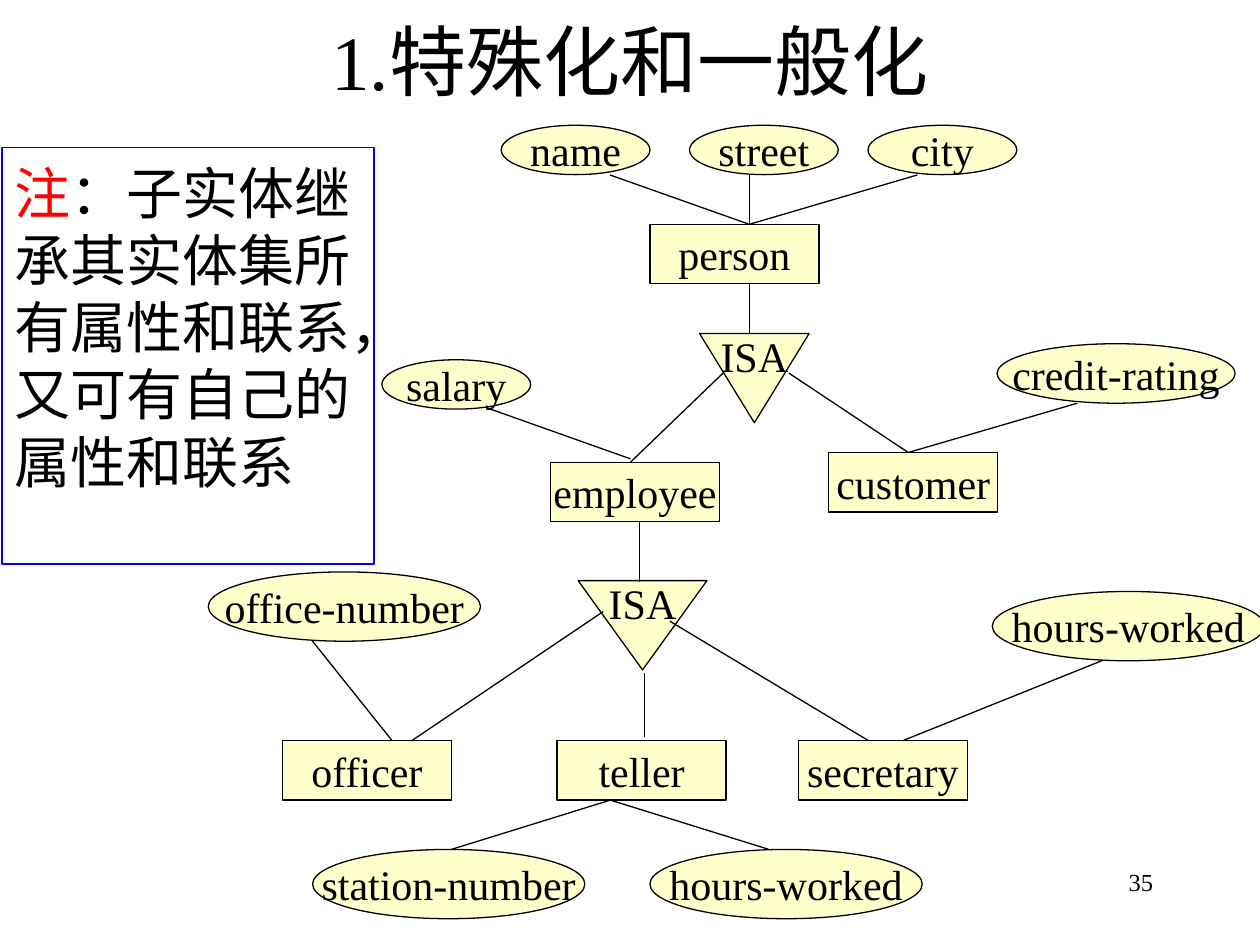
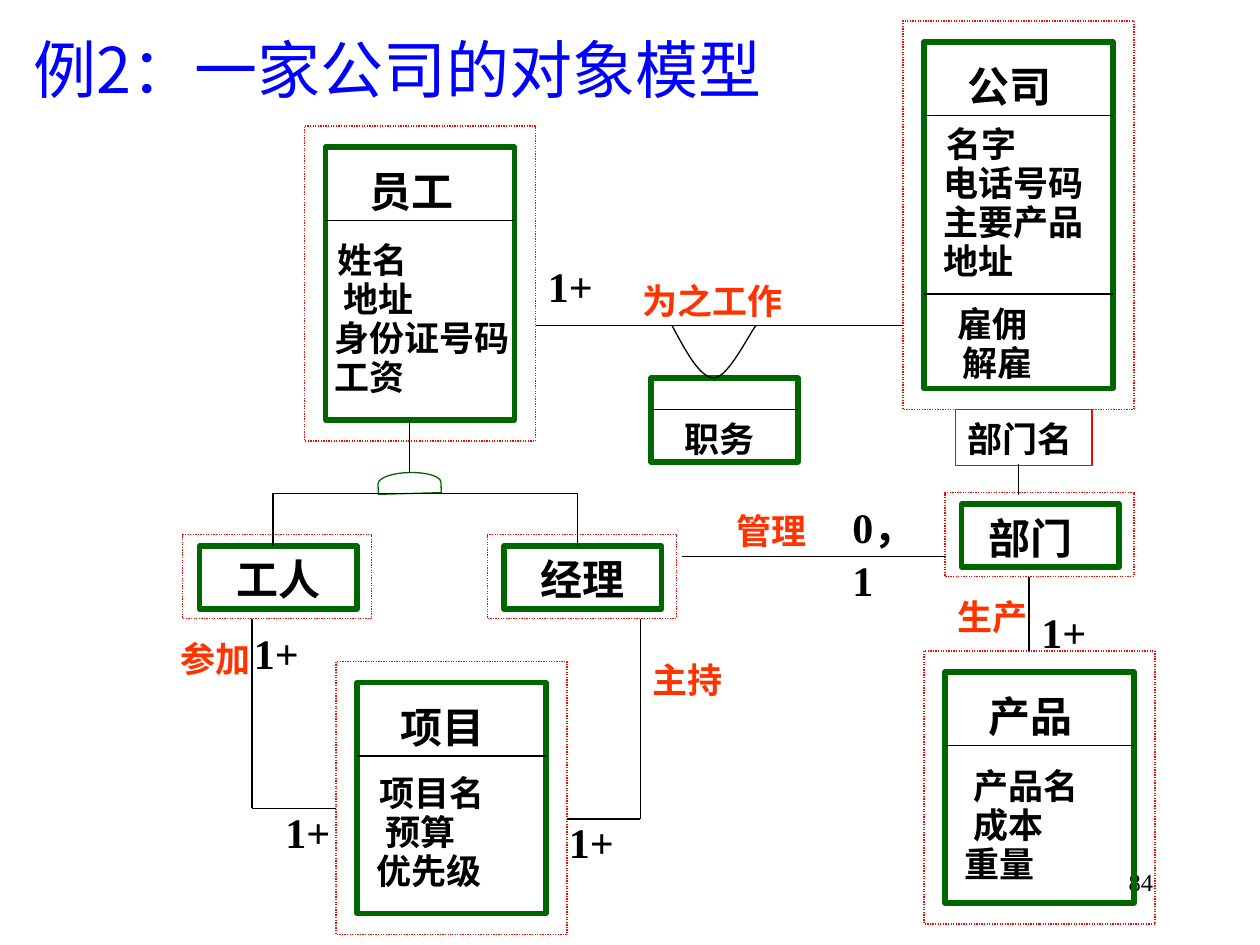
from dataclasses import dataclass
from typing import NamedTuple

from lxml.etree import SubElement
from pptx import Presentation
from pptx.dml.color import RGBColor
from pptx.enum.dml import MSO_LINE
from pptx.enum.shapes import MSO_CONNECTOR, MSO_SHAPE
from pptx.enum.text import MSO_ANCHOR, MSO_AUTO_SIZE, PP_ALIGN
from pptx.oxml.ns import qn
from pptx.util import Pt


@dataclass(frozen=True)
class Theme:
    black: RGBColor = RGBColor(0, 0, 0)
    blue: RGBColor = RGBColor(0, 0, 255)
    red: RGBColor = RGBColor(255, 0, 0)
    orange: RGBColor = RGBColor(255, 51, 0)
    green: RGBColor = RGBColor(0, 102, 0)
    cream: RGBColor = RGBColor(255, 255, 204)
    latin: str = "Times New Roman"
    chinese: str = "Noto Sans CJK SC"
    title: float = 44
    subtitle: float = 36
    note: float = 32
    name: float = 24
    detail: float = 20
    number: float = 14
    leading: float = 1.25
    list_pitch: float = 22.3
    thin: float = 0.75
    thick: float = 3


THEME = Theme()


class Box(NamedTuple):
    left: float
    top: float
    width: float
    height: float


class Node(NamedTuple):
    text: str
    left: float
    top: float
    width: float = 85
    height: float = 28.2


class Segment(NamedTuple):
    x1: float
    y1: float
    x2: float
    y2: float


class Label(NamedTuple):
    text: str
    box: Box
    size: float = THEME.name
    color: RGBColor = THEME.black
    indent: float = 0


class Attribute(NamedTuple):
    text: str
    indent: float = 10


class AttributeList(NamedTuple):
    left: float
    top: float
    attributes: list[Attribute]


@dataclass(frozen=True)
class EntityClass:
    name: str
    left: float
    top: float
    height: float
    lists: list[AttributeList]


def format_paragraph(paragraph, size: float, color=THEME.black, bold=False, align=PP_ALIGN.LEFT,
                     latin=THEME.latin, leading=None, indent: float = 0) -> None:
    properties = paragraph._p.get_or_add_pPr()
    properties.set("marL", str(Pt(indent)))
    properties.set("indent", "0")
    paragraph.alignment = align
    if leading:
        paragraph.line_spacing = Pt(leading)
    paragraph.space_before = Pt(0)
    font = paragraph.font
    font.size, font.bold, font.name = Pt(size), bold, latin
    font.color.rgb = color
    SubElement(properties.find(qn("a:defRPr")), qn("a:ea"), typeface=THEME.chinese)


def points(box) -> list:
    return [Pt(value) for value in box]


def add_outline(slide, kind, box: Box, line=THEME.black, width=THEME.thin, fill=None, dotted=False):
    shape = slide.shapes.add_shape(kind, *points(box))
    style_outline(shape, line, width)
    if fill:
        shape.fill.solid()
        shape.fill.fore_color.rgb = fill
    if dotted:
        shape.line.dash_style = MSO_LINE.ROUND_DOT
    return shape


def style_outline(shape, line: RGBColor, width: float) -> None:
    shape.shadow.inherit = False
    shape.fill.background()
    shape.line.color.rgb = line
    shape.line.width = Pt(width)


def center_text(shape, text: str, bold=False, leading=None) -> None:
    frame = shape.text_frame
    frame.word_wrap = False
    frame.vertical_anchor = MSO_ANCHOR.MIDDLE
    frame.margin_left = frame.margin_right = frame.margin_top = frame.margin_bottom = 0
    frame.text = text
    format_paragraph(frame.paragraphs[0], THEME.name, bold=bold, align=PP_ALIGN.CENTER, leading=leading)


def add_nodes(slide, kind, nodes: list[Node]) -> None:
    for node in nodes:
        shape = add_outline(slide, kind, Box(*node[1:]), fill=THEME.cream)
        center_text(shape, node.text)


def add_segments(slide, segments: list[Segment]) -> None:
    for segment in segments:
        connector = slide.shapes.add_connector(MSO_CONNECTOR.STRAIGHT, *points(segment))
        connector.line.color.rgb = THEME.black
        connector.line.width = Pt(THEME.thin)
        SubElement(connector._element.spPr, qn("a:effectLst"))


def add_label(slide, label: Label) -> None:
    frame = slide.shapes.add_textbox(*points(label.box)).text_frame
    frame.word_wrap = True
    frame.text = label.text
    format_paragraph(frame.paragraphs[0], label.size, label.color, bold=True,
                     leading=label.size * THEME.leading, indent=label.indent)


def add_attributes(slide, listing: AttributeList) -> None:
    height = THEME.list_pitch * len(listing.attributes)
    frame = slide.shapes.add_textbox(*points(Box(listing.left, listing.top, 132, height))).text_frame
    frame.word_wrap = True
    frame.margin_top = frame.margin_bottom = 0
    for index, attribute in enumerate(listing.attributes):
        paragraph = frame.add_paragraph() if index else frame.paragraphs[0]
        paragraph.text = attribute.text
        format_paragraph(paragraph, THEME.detail, bold=True, leading=THEME.list_pitch,
                         indent=attribute.indent)


def add_frames(slide, inner: Box, outer: Box):
    shape = add_outline(slide, MSO_SHAPE.RECTANGLE, inner, THEME.green, THEME.thick)
    add_outline(slide, MSO_SHAPE.RECTANGLE, outer, THEME.red, dotted=True)
    return shape


def add_entity_class(slide, entity: EntityClass) -> None:
    left, top, height = entity.left, entity.top, entity.height
    add_frames(slide, Box(left, top, 108, height), Box(left - 12, top - 12, 132, height + 24))
    add_segments(slide, [Segment(left, top + 42, left + 108, top + 42)])
    add_label(slide, Label(entity.name, Box(left + 6, top + 6, 102, 36), indent=12))
    for listing in entity.lists:
        add_attributes(slide, listing)


def add_compact_class(slide, name: str, left: float, top: float) -> None:
    shape = add_frames(slide, Box(left, top, 90, 36), Box(left - 9.5, top - 6.5, 108, 48))
    if name:
        center_text(shape, name, bold=True, leading=THEME.name * THEME.leading)


def start_slide(presentation, title: str, number: str, box: Box, size: float, **style):
    slide = presentation.slides.add_slide(presentation.slide_layouts[5])
    shape = slide.shapes.title
    shape.left, shape.top, shape.width, shape.height = points(box)
    frame = shape.text_frame
    frame.word_wrap = True
    frame.auto_size = MSO_AUTO_SIZE.NONE
    centered = style.get("align") == PP_ALIGN.CENTER
    frame.vertical_anchor = MSO_ANCHOR.MIDDLE if centered else MSO_ANCHOR.TOP
    frame.text = title
    format_paragraph(frame.paragraphs[0], size, leading=size * THEME.leading, **style)
    footer = slide.shapes.add_textbox(*points(Box(516, 492, 150, 36))).text_frame
    footer.word_wrap = True
    footer.text = number
    format_paragraph(footer.paragraphs[0], THEME.number, align=PP_ALIGN.RIGHT)
    return slide


def add_inheritance_note(slide) -> None:
    shape = add_outline(slide, MSO_SHAPE.RECTANGLE, Box(1.2, 84.4, 212.6, 238), THEME.blue)
    frame = shape.text_frame
    frame.word_wrap = True
    frame.vertical_anchor = MSO_ANCHOR.TOP
    frame.margin_top = Pt(6)
    paragraph = frame.paragraphs[0]
    keyword = paragraph.add_run()
    keyword.text = "注"
    paragraph.add_run().text = "：子实体继承其实体集所有属性和联系，又可有自己的属性和联系"
    format_paragraph(paragraph, THEME.note, leading=38.4)
    keyword.font.color.rgb = THEME.red


def build_specialization(presentation) -> None:
    slide = start_slide(presentation, "1.特殊化和一般化", "35", Box(54, 0, 612, 65.5),
                        THEME.title, align=PP_ALIGN.CENTER)
    entities = [("person", 371.4, 128.2), ("employee", 314.6, 264.2), ("customer", 473.6, 258.6),
                ("officer", 161.4, 423.2), ("teller", 318.4, 423.2), ("secretary", 456.2, 423.2)]
    add_nodes(slide, MSO_SHAPE.RECTANGLE, [Node(*entity, 96.6, 34) for entity in entities])
    wide = (155.6, 39.6)
    add_nodes(slide, MSO_SHAPE.OVAL, [
        Node("name", 286.4, 71.6), Node("street", 394, 71.6), Node("city", 496, 71.6),
        Node("salary", 218.2, 205.6), Node("credit-rating", 569.8, 196.4, 136, 34),
        Node("office-number", 119, 326.8, *wide), Node("station-number", 178.6, 485.4, *wide),
        Node("hours-worked", 371.4, 485.4, *wide), Node("hours-worked", 567, 338, *wide)])
    add_nodes(slide, MSO_SHAPE.FLOWCHART_MERGE, [
        Node("ISA", 399.8, 190.6, 62.6, 51), Node("ISA", 330.4, 331.8, 73.6, 51)])
    add_segments(slide, [
        Segment(428.2, 100, 428.2, 128.2), Segment(428.2, 128.2, 524.2, 100),
        Segment(428.2, 128.2, 348.6, 100), Segment(428.2, 162.2, 428.2, 190.6),
        Segment(360.2, 264.2, 413.2, 213.2), Segment(450.8, 213.2, 519, 258.6),
        Segment(360.2, 262.2, 278, 233), Segment(519, 258.6, 615.6, 230.4),
        Segment(365.6, 298.2, 365.6, 332.4), Segment(235.4, 423.2, 344.8, 349.4),
        Segment(368.2, 384.6, 368.2, 421.4), Segment(382.8, 355, 496.2, 423.2),
        Segment(224, 423.2, 178.6, 366.4), Segment(258, 485.4, 348.8, 457.2),
        Segment(348.8, 457.2, 439.4, 485.4), Segment(516, 423.2, 629.6, 377.6)])
    add_inheritance_note(slide)


def bezier(start, control1, control2, end, steps: int = 12) -> list[tuple]:
    curve = []
    for step in range(1, steps + 1):
        t = step / steps
        weights = ((1 - t) ** 3, 3 * t * (1 - t) ** 2, 3 * t ** 2 * (1 - t), t ** 3)
        corners = (start, control1, control2, end)
        curve.append(tuple(Pt(sum(w * c[axis] for w, c in zip(weights, corners))) for axis in (0, 1)))
    return curve


def add_association_curve(slide) -> None:
    start, lowest, end = (384, 186), (408, 216), (432, 186)
    builder = slide.shapes.build_freeform(*points(start), scale=1.0)
    vertices = bezier(start, (392, 201), (400, 216), lowest)
    vertices += bezier(lowest, (416, 216), (428, 191), end)
    builder.add_line_segments(vertices, close=False)
    style_outline(builder.convert_to_shape(), THEME.black, THEME.thin)


def build_company_model(presentation) -> None:
    slide = start_slide(presentation, "例2：一家公司的对象模型", "84", Box(12, 12, 500, 60),
                        THEME.subtitle, color=THEME.blue, latin=THEME.chinese)
    entities = [
        EntityClass("员工", 186, 84, 156, [AttributeList(174, 138, [
            Attribute("姓名", 12), Attribute("地址", 15), Attribute("身份证号码"), Attribute("工资")])]),
        EntityClass("公司", 528, 24, 198, [
            AttributeList(522, 71.5, [Attribute("名字", 12), Attribute("电话号码"),
                                      Attribute("主要产品"), Attribute("地址")]),
            AttributeList(528, 174.5, [Attribute("雇佣", 12), Attribute("解雇", 15)])]),
        EntityClass("项目", 204, 390, 132, [AttributeList(198, 442.5, [
            Attribute("项目名", 12), Attribute("预算", 15), Attribute("优先级")])]),
        EntityClass("产品", 540, 384, 132, [AttributeList(534, 438.5, [
            Attribute("产品名", 15), Attribute("成本", 15), Attribute("重量")])]),
    ]
    for entity in entities:
        add_entity_class(slide, entity)
    for name, left, top in [("工人", 114, 312), ("经理", 288, 312), ("", 549.5, 288)]:
        add_compact_class(slide, name, left, top)

    add_outline(slide, MSO_SHAPE.RECTANGLE, Box(372, 216, 84, 48), THEME.green, THEME.thick)
    add_outline(slide, MSO_SHAPE.RECTANGLE, Box(546, 234, 78, 32), THEME.red)
    add_association_curve(slide)
    inheritance = add_outline(slide, MSO_SHAPE.FLOWCHART_DELAY, Box(228, 258, 12, 36), THEME.green)
    inheritance.rotation = 268.5
    add_segments(slide, [
        Segment(528, 168, 636, 168), Segment(306, 186, 516, 186), Segment(372, 234, 456, 234),
        Segment(156, 312, 156, 282), Segment(156, 282, 330, 282), Segment(330, 282, 330, 312),
        Segment(234, 240, 234, 270), Segment(582, 265, 582, 283), Segment(390, 318, 540, 318),
        Segment(144, 354, 144, 462), Segment(144, 462, 192, 462), Segment(366, 354, 366, 468),
        Segment(324, 468, 366, 468), Segment(588, 330, 588, 372)])

    for left, top in [(306, 144), (138, 354), (156, 456), (318, 462), (588, 342)]:
        add_label(slide, Label("1+", Box(left, top, 54, 36)))
    for text, left, top in [("参加", 96, 360), ("主持", 366, 372), ("管理", 414, 286.5),
                            ("为之工作", 360, 155), ("生产", 540, 336)]:
        add_label(slide, Label(text, Box(left, top, 108, 31), THEME.detail, THEME.orange))
    for label in [Label("0，1", Box(480, 282, 58, 66)), Label("部门", Box(558, 288, 66, 36)),
                  Label("部门名", Box(546, 234, 78, 32), THEME.detail),
                  Label("职务", Box(364, 234, 96, 31), THEME.detail, indent=20)]:
        add_label(slide, label)


def main() -> None:
    presentation = Presentation()
    presentation.slide_width, presentation.slide_height = Pt(720), Pt(540)
    build_specialization(presentation)
    build_company_model(presentation)
    presentation.save("out.pptx")


if __name__ == "__main__":
    main()
